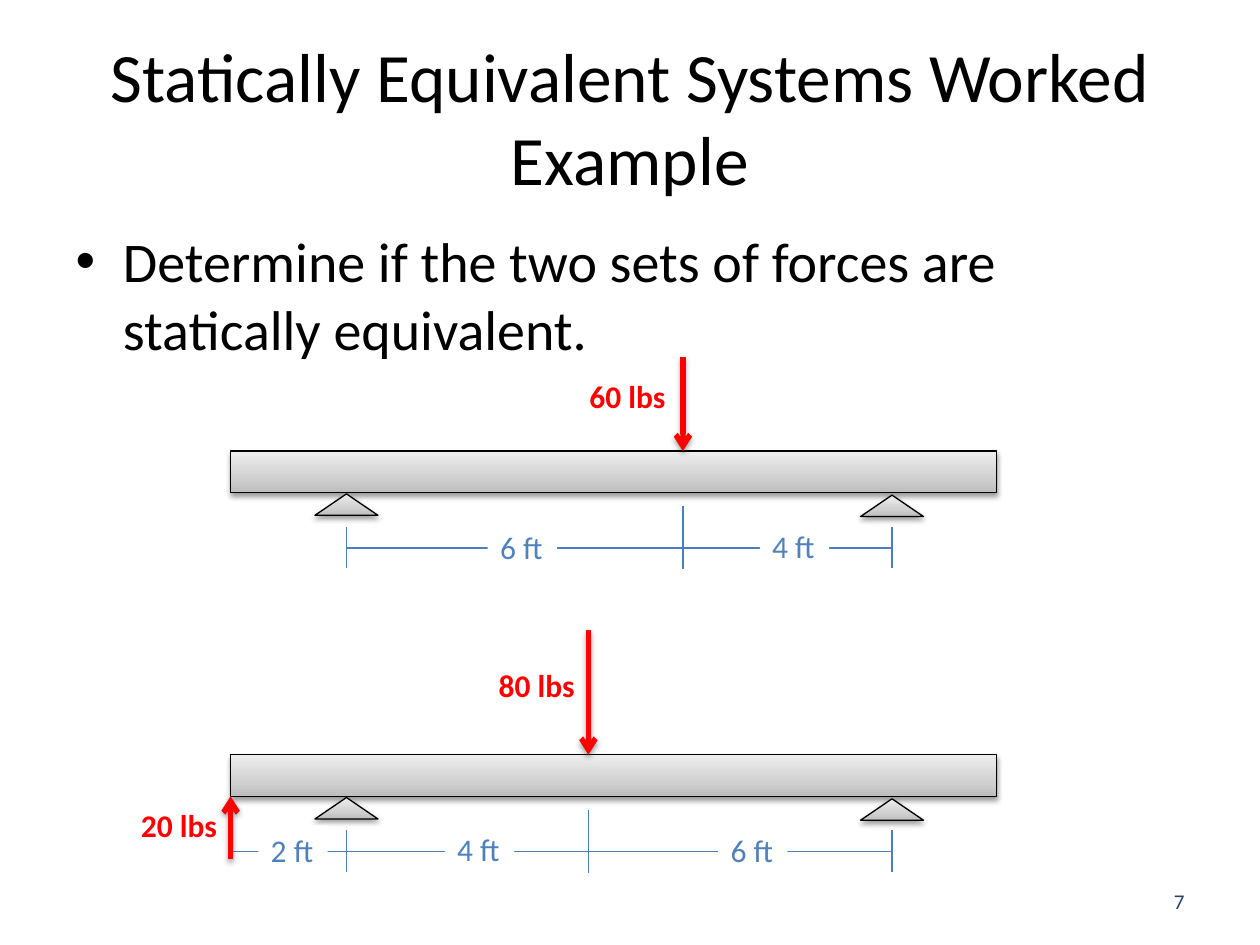
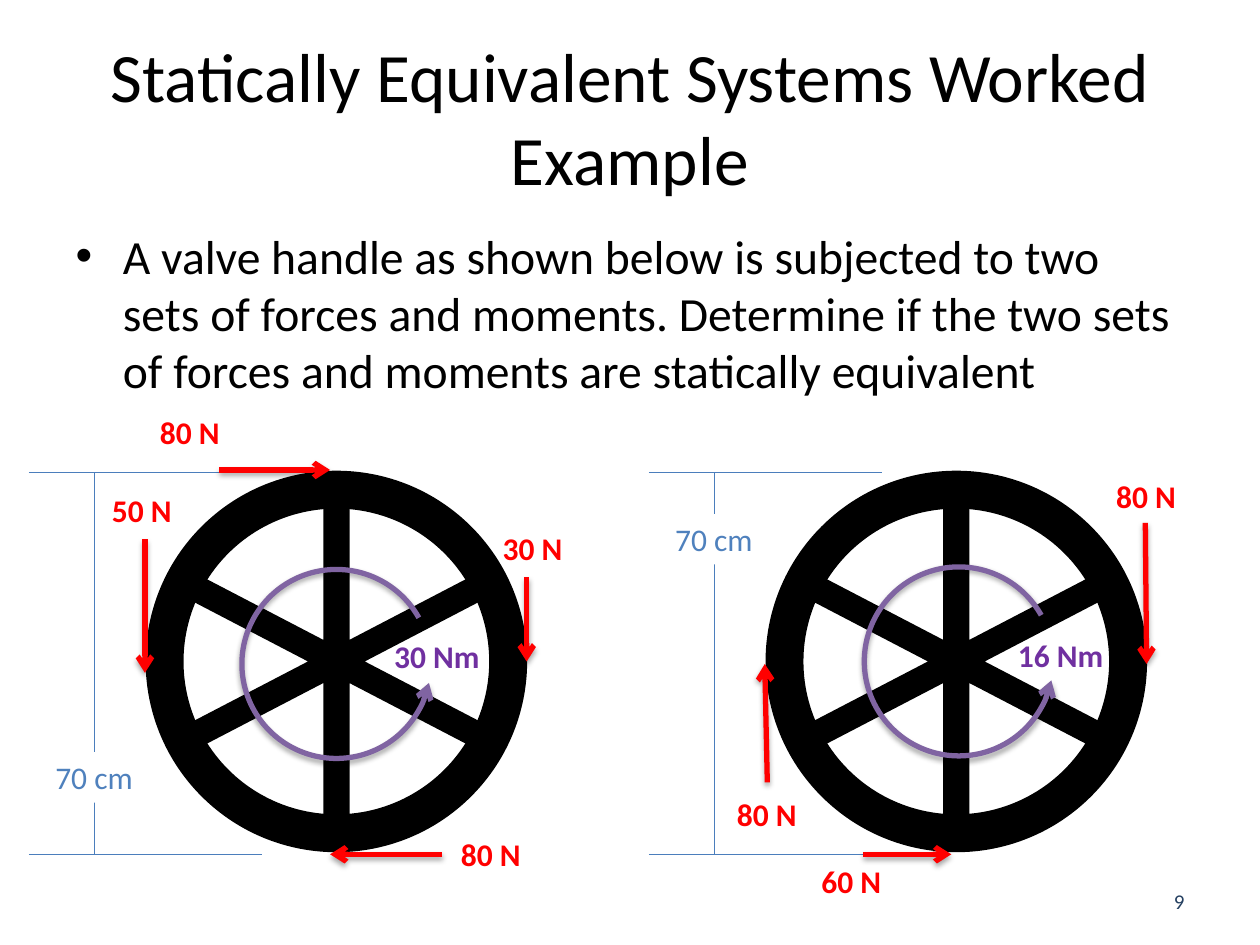
"""Build two worked example slides on statically equivalent systems."""
from copy import deepcopy
from dataclasses import dataclass

from lxml import etree
from pptx import Presentation
from pptx import util as u
from pptx.dml.color import RGBColor
from pptx.enum import shapes, text
from pptx.oxml.ns import qn


@dataclass(frozen=True)
class Theme:
    font: str = "Calibri"
    ink: str = "000000"
    paper: str = "FFFFFF"
    force: str = "FF0000"
    rule: str = "4B7EBC"
    size: str = "4F81BD"
    turn: str = "8064A2"
    torque: str = "7030A0"
    page: str = "254061"
    metal: tuple = ((0, "BDBDBD"), (0.35, "D1D1D1"), (1, "EEEEEE"))
    head: float = 39.6
    label: float = 18
    foot: float = 12
    thin: float = 0.75
    bold: float = 3


T = Theme()
COLS = 10
TITLE = "Statically Equivalent Systems Worked Example"
TITLE_BOX = (0.5, 0.3, 9, 1.25)
PAGE_BOX = (7.17, 6.95, 2.33, 0.4)

BEAM = {
    "page": "7", "size": 32, "box": (0.5, 1.75, 9, 1.5),
    "body": "Determine if the two sets of forces are statically equivalent.",
}
BEAM_X, BEAM_W, BEAM_H = 1.83, 6.08, 0.33
PINS = ((2.75, 0.34), (7.08, 0.35))
BEAMS = [
    {"top": 3.58, "load": 5.42, "start": 2.75,
     "sizes": [("6 ft", 3.87, 0.56), ("4 ft", 6.03, 0.55)],
     "forces": [("60 lbs", (4.58, 2.94), (5.42, 2.83), (5.42, 3.58))]},
    {"top": 5.99, "load": 4.67, "start": BEAM_X,
     "sizes": [("6 ft", 5.7, 0.56), ("4 ft", 3.53, 0.55), ("2 ft", 2.05, 0.56)],
     "forces": [("80 lbs", (3.86, 5.24), (4.67, 5), (4.67, 5.99)),
                ("20 lbs", (1.02, 6.35), (1.83, 6.82), (1.83, 6.32))]},
]

VALVE = {
    "page": "9", "size": 27.2, "box": (0.5, 1.75, 9, 1.42),
    "body": "A valve handle as shown below is subjected to two sets of forces and "
            "moments. Determine if the two sets of forces and moments are "
            "statically equivalent",
}
RIM_TOP, RIM, LOW = 3.75, 3, 6.78
WHEELS = [
    {"left": 1.17, "size": 5.97, "arc": (1.92, 4.52), "torque": ("30 Nm", 3.03, 5.01),
     "forces": [("80 N", (3.56, 6.58), (3.51, LOW), (2.62, LOW)),
                ("80 N", (1.17, 3.23), (1.74, 3.73), (2.62, 3.73)),
                ("30 N", (3.89, 4.15), (4.18, 4.58), (4.18, 5.25)),
                ("50 N", (0.79, 3.85), (1.15, 4.28), (1.15, 5.34))]},
    {"left": 6.09, "size": 4.08, "arc": (6.86, 4.5), "torque": ("16 Nm", 7.98, 5),
     "forces": [("60 N", (6.42, 6.79), (6.85, LOW), (7.55, LOW)),
                ("80 N", (5.75, 6.26), (6.09, 6.21), (6.07, 5.27)),
                ("80 N", (8.76, 3.74), (9.09, 4.15), (9.1, 5.27))]},
]

deck = Presentation()
deck.slide_width, deck.slide_height = u.Inches(10), u.Inches(7.5)
CELL = deck.slide_width / COLS


def grid(*spans):
    return [round(span * CELL) for span in spans]


def rgb(code):
    return RGBColor.from_string(code)


def write(frame, words, size, color, bold=False, align=None):
    para = frame.paragraphs[0]
    para.alignment = align
    run = para.add_run()
    run.text = words
    font = run.font
    font.name, font.size, font.bold = T.font, u.Pt(size), bold
    font.color.rgb = rgb(color)


def ink(line, color, width):
    line.color.rgb = rgb(color)
    line.width = u.Pt(width)


def tip(item, end):
    etree.SubElement(item.line._get_or_add_ln(), qn("a:" + end), type="arrow")


def shade(item, alpha=None, dist=1.6):
    props = item._element.spPr
    for old in props.findall(qn("a:effectLst")):
        props.remove(old)
    effect = etree.SubElement(props, qn("a:effectLst"))
    if alpha:
        cast = etree.SubElement(
            effect, qn("a:outerShdw"), blurRad=str(u.Pt(3.1)), dist=str(u.Pt(dist)),
            dir="5400000", rotWithShape="0")
        tone = etree.SubElement(cast, qn("a:srgbClr"), val=T.ink)
        etree.SubElement(tone, qn("a:alpha"), val=str(alpha * 1000))


def rule(slide, start, end, color=T.rule, width=T.thin, arrow=False):
    line = slide.shapes.add_connector(
        shapes.MSO_CONNECTOR.STRAIGHT, *grid(*start, *end))
    ink(line.line, color, width)
    if arrow:
        tip(line, "tailEnd")
    shade(line, 35 if arrow else None, 1.8)


def label(slide, words, left, top, wide, color, bold=True, fill=None):
    box = slide.shapes.add_textbox(*grid(left, top, wide, 0.4))
    box.text_frame.word_wrap = False
    if fill:
        box.fill.solid()
        box.fill.fore_color.rgb = rgb(fill)
    write(box.text_frame, words, T.label, color, bold)


def push(slide, forces, wide):
    for words, spot, start, end in forces:
        rule(slide, start, end, T.force, T.bold, True)
        label(slide, words, *spot, wide, T.force)


def metal(slide, kind, *box):
    part = slide.shapes.add_shape(kind, *grid(*box))
    fill = part.fill
    fill.gradient()
    fill.gradient_angle = 90
    stops = part._element.spPr.find(".//" + qn("a:gsLst"))
    stops.insert(1, deepcopy(stops[0]))
    for stop, (place, color) in zip(fill.gradient_stops, T.metal):
        stop.position = place
        stop.color.rgb = rgb(color)
    ink(part.line, T.ink, T.thin)
    shade(part, 38)


def place(holder, box):
    holder.left, holder.top, holder.width, holder.height = grid(*box)
    holder.text_frame.word_wrap = True
    holder.text_frame.auto_size = text.MSO_AUTO_SIZE.NONE
    return holder.text_frame


def start(info):
    slide = deck.slides.add_slide(deck.slide_layouts[1])
    write(place(slide.shapes.title, TITLE_BOX), TITLE, T.head, T.ink,
          align=text.PP_ALIGN.CENTER)
    write(place(slide.placeholders[1], info["box"]), info["body"], info["size"], T.ink)
    foot = place(slide.shapes.add_textbox(0, 0, 0, 0), PAGE_BOX)
    foot.vertical_anchor = text.MSO_ANCHOR.MIDDLE
    write(foot, info["page"], T.foot, T.page, align=text.PP_ALIGN.RIGHT)
    return slide


def beam(slide, info):
    top, load = info["top"], info["load"]
    metal(slide, shapes.MSO_SHAPE.RECTANGLE, BEAM_X, top, BEAM_W, BEAM_H)
    for mid, drop in PINS:
        metal(slide, shapes.MSO_SHAPE.ISOSCELES_TRIANGLE,
              mid - 0.25, top + drop, 0.5, 0.17)
        rule(slide, (mid, top + 0.6), (mid, top + 0.93))
    rule(slide, (load, top + 0.44), (load, top + 0.94))
    rule(slide, (PINS[1][0], top + 0.77), (info["start"], top + 0.77))
    for words, left, drop in info["sizes"]:
        label(slide, words, left, top + drop, 0.55, T.size, False, T.paper)
    push(slide, info["forces"], 0.81)


def wheel(slide, info):
    left = info["left"]
    group = slide.shapes.add_group_shape()
    for kind, box, bend, width in (
            (shapes.MSO_SHAPE.DONUT, (left, RIM_TOP, RIM, RIM), 0.091, 2),
            (shapes.MSO_SHAPE.STAR_6_POINT, (left + 0.3, RIM_TOP + 0.25, 2.4, 2.5), 0, 15)):
        part = group.shapes.add_shape(kind, *grid(*box))
        part.adjustments[0] = bend
        part.fill.solid()
        part.fill.fore_color.rgb = rgb(T.ink)
        ink(part.line, T.ink, width)
        shade(part)
    for row in (RIM_TOP, LOW):
        rule(slide, (left - 0.94, row), (left + 0.91, row))
    rule(slide, (left - 0.42, RIM_TOP), (left - 0.42, LOW))
    label(slide, "70 cm", left - 0.83, info["size"], 0.82, T.size, False, T.paper)
    push(slide, info["forces"], 0.68)
    arc = slide.shapes.add_shape(shapes.MSO_SHAPE.ARC, *grid(*info["arc"], 1.5, 1.5))
    arc.adjustments[0], arc.adjustments[1] = 6.958, 198.453
    arc.fill.background()
    ink(arc.line, T.turn, T.bold)
    tip(arc, "headEnd")
    shade(arc, 35, 1.8)
    label(slide, *info["torque"], 0.89, T.torque)


for info, draw, items in ((BEAM, beam, BEAMS), (VALVE, wheel, WHEELS)):
    slide = start(info)
    for item in items:
        draw(slide, item)

deck.save("out.pptx")
